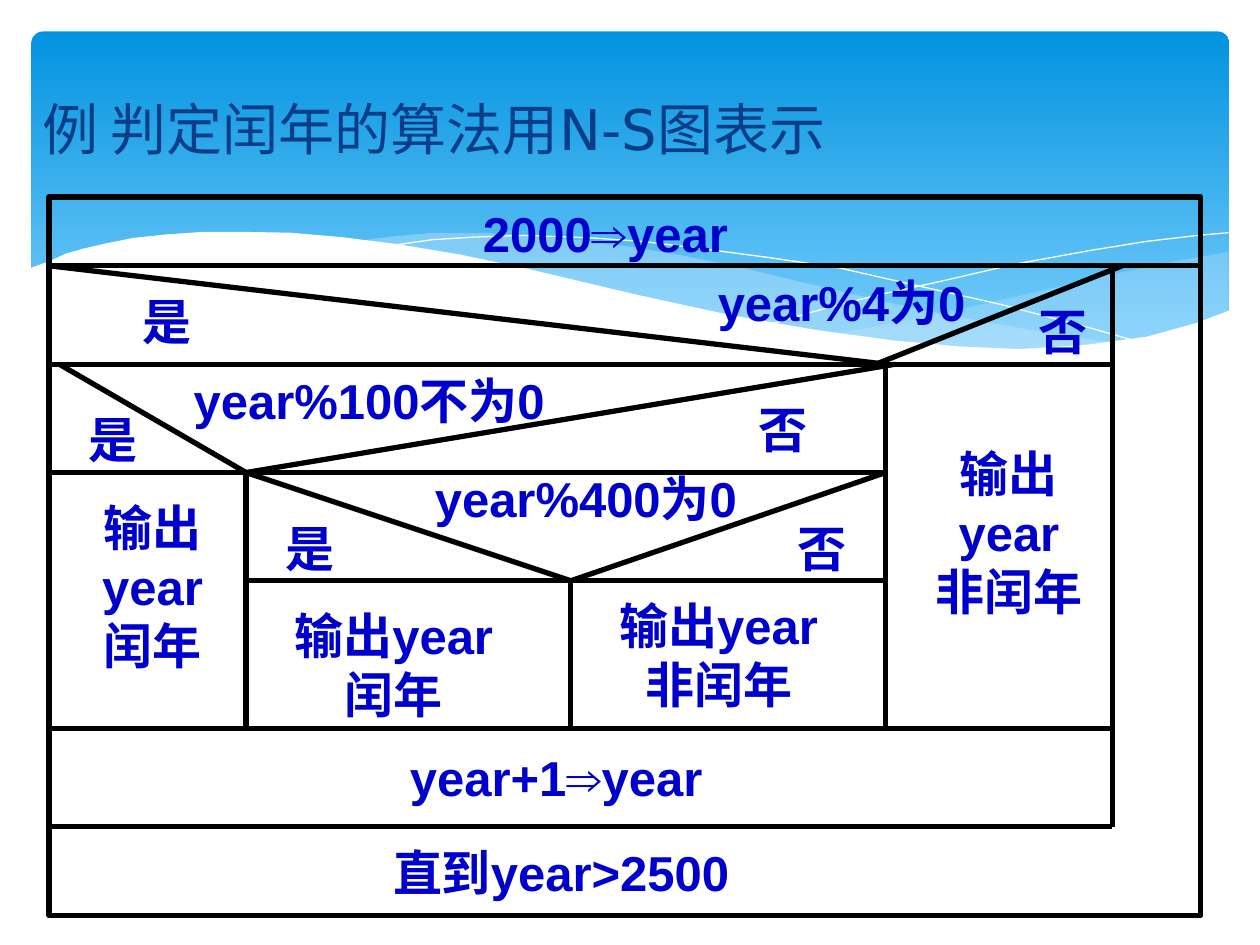
from dataclasses import dataclass
from typing import Optional

import pptx
import pptx.dml.color
import pptx.enum.dml
import pptx.enum.shapes
import pptx.enum.text
import pptx.oxml
import pptx.util
import pptx.oxml.ns

Pt = pptx.util.Pt
Point = tuple[float, float]
BLACK, WHITE, INK, TITLE_INK = "000000", "FFFFFF", "0000CC", "073E87"
LEFT, FIRST, SECOND, THIRD, LOOP, RIGHT = 28.1, 140.6, 326.2, 506.2, 635.6, 686.2
TOP, START, DIVISIBLE, CENTURY, FOURTH, STEP, UNTIL, BOTTOM = (
    112.5, 151.9, 208.1, 270, 331.9, 416.2, 472.5, 523.1)
LABEL_HEIGHT = 41


@dataclass
class Wave:
    points: list[Point]
    fill: Optional[str] = None
    opacity: int = 100


@dataclass
class Label:
    text: str
    left: float
    top: float
    width: float


@dataclass
class Output:
    lines: list[str]
    left: float
    top: float
    width: float
    height: float


WAVES = [
    Wave([(702, 144), (673, 149), (641.5, 155.5), (609, 163), (561, 174), (525, 182),
          (476, 191), (508, 195), (536, 198), (570, 199.5), (601, 199.5), (634, 197),
          (663, 191), (683, 185), (702, 178)], "C6E7FC", 29),
    Wave([(643, 197), (603, 191), (558, 183), (508, 173), (453, 160), (420, 152),
          (390, 146), (361, 141), (334, 137.5), (302, 134.5), (274, 133), (248, 133),
          (225, 135), (206, 137.5), (246, 143), (291, 152), (323, 160), (382, 173),
          (433, 184), (468, 190), (501, 194.5), (530, 198), (557, 200), (581, 201),
          (603, 200), (624, 199)], "C6E7FC", 40),
    Wave([(222.5, 140.5), (247, 137), (271, 135.5), (300, 134.5), (338, 136), (367, 138),
          (400, 142), (438, 147), (479, 153), (523, 163), (572, 174), (625, 188),
          (653, 196)]),
    Wave([(441, 185), (469, 177), (500, 169), (539, 160.5), (580, 151), (624, 143),
          (655, 138), (685, 134.5), (702, 133)]),
    Wave([(703.5, 177), (684, 184.5), (655, 192.5), (621, 197), (583, 199.5), (548, 198),
          (510, 194.5), (466, 188.5), (417, 180), (362, 168), (301, 153.5), (263, 145.5),
          (227, 139.5), (195, 135.5), (166, 133), (139, 132.5), (116, 132.5), (95, 134),
          (76, 136), (61, 139), (48, 142), (37.5, 145), (29, 149), (16.5, 153.5),
          (16.5, 237), (703.5, 237)], WHITE),
]

LINES: list[tuple[Point, Point]] = [
    ((LEFT, START), (RIGHT, START)),
    ((LEFT, DIVISIBLE), (LOOP, DIVISIBLE)),
    ((LEFT, CENTURY), (THIRD, CENTURY)),
    ((FIRST, FOURTH), (THIRD, FOURTH)),
    ((LEFT, STEP), (LOOP, STEP)),
    ((LEFT, UNTIL), (LOOP, UNTIL)),
    ((FIRST, CENTURY), (FIRST, STEP)),
    ((SECOND, FOURTH), (SECOND, STEP)),
    ((THIRD, DIVISIBLE), (THIRD, STEP)),
    ((LOOP, START), (LOOP, UNTIL)),
    ((LEFT, START), (THIRD, DIVISIBLE)),
    ((641.2, START), (500.6, DIVISIBLE)),
    ((33.8, DIVISIBLE), (FIRST, CENTURY)),
    ((511.9, DIVISIBLE), (FIRST, CENTURY)),
    ((FIRST, CENTURY), (SECOND, FOURTH)),
    ((THIRD, CENTURY), (SECOND, FOURTH)),
]

LABELS = [
    Label("2000⇒year", 247.5, TOP, 196.9),
    Label("year%4为0", 388.1, START, 185.6),
    Label("是", 73.1, 163.1, 45),
    Label("否", 585, 168.8, 45),
    Label("year%100不为0", 90, DIVISIBLE, 241.9),
    Label("是", 33.8, 230.6, 61.9),
    Label("否", 416.2, 225, 61.9),
    Label("year%400为0", 213.8, 264.4, 241.9),
    Label("是", 146.2, 292.5, 61.9),
    Label("否", 438.8, 292.5, 61.9),
    Label("year+1⇒year", 208.1, 423.4, 219.4),
    Label("直到year>2500", 191.2, 478.1, 258.8),
]

OUTPUTS = [
    Output(["输出", "year", "闰年"], 16.9, 270, 140.6, 129.4),
    Output(["输出year", "闰年"], 129.4, 331.9, 191.2, 95.6),
    Output(["输出year", "非闰年"], 315, 326.2, 191.2, 95.6),
    Output(["输出", "year", "非闰年"], 495, 241.9, 163.1, 123.8),
]


def color(value: str) -> pptx.dml.color.RGBColor:
    return pptx.dml.color.RGBColor.from_string(value)


def draw_sky(shapes) -> None:
    sky = shapes.add_shape(pptx.enum.shapes.MSO_SHAPE.ROUNDED_RECTANGLE,
                           Pt(18), Pt(18), Pt(684.5), Pt(194.5))
    sky.shadow.inherit = False
    sky.adjustments[0] = 0.034
    sky.line.fill.background()
    sky.fill.gradient()
    sky.fill.gradient_angle = 270
    for stop, position, value in zip(sky.fill.gradient_stops, (0, 1), ("0293E0", "83D3FE")):
        stop.position = position
        stop.color.rgb = color(value)


def draw_wave(shapes, wave: Wave) -> None:
    points = [(round(x * 100), round(y * 100)) for x, y in wave.points]
    builder = shapes.build_freeform(*points[0], scale=Pt(1) / 100)
    builder.add_line_segments(points[1:], close=wave.fill is not None)
    shape = builder.convert_to_shape()
    shape.shadow.inherit = False
    if wave.fill is None:
        shape.fill.background()
        shape.line.color.rgb = color(WHITE)
        shape.line.width = Pt(0)
        return
    shape.line.fill.background()
    shape.fill.solid()
    shape.fill.fore_color.rgb = color(wave.fill)
    if wave.opacity < 100:
        value = shape.element.spPr.find(".//" + pptx.oxml.ns.qn("a:srgbClr"))
        alpha = value.makeelement(pptx.oxml.ns.qn("a:alpha"), {"val": str(wave.opacity * 1000)})
        value.append(alpha)


def draw_line(shapes, start: Point, end: Point) -> None:
    line = shapes.add_connector(pptx.enum.shapes.MSO_CONNECTOR.STRAIGHT,
                                *(Pt(value) for value in start + end))
    line.line.color.rgb = color(BLACK)
    line.line.width = Pt(3)
    properties = line.element.spPr
    properties.append(properties.makeelement(pptx.oxml.ns.qn("a:effectLst"), {}))


def write_lines(frame, lines: list[str]) -> None:
    for index, text in enumerate(lines):
        paragraph = frame.add_paragraph() if index else frame.paragraphs[0]
        paragraph.text = text
        paragraph.alignment = pptx.enum.text.PP_ALIGN.CENTER
        paragraph.font.name = "Arial"
        paragraph.font.size = Pt(28)
        paragraph.font.bold = True
        paragraph.font.color.rgb = color(INK)


def draw_label(shapes, label: Label) -> None:
    box = shapes.add_textbox(Pt(label.left), Pt(label.top), Pt(label.width), Pt(LABEL_HEIGHT))
    box.text_frame.word_wrap = True
    box.text_frame.auto_size = pptx.enum.text.MSO_AUTO_SIZE.SHAPE_TO_FIT_TEXT
    write_lines(box.text_frame, [label.text])


def draw_output(shapes, output: Output) -> None:
    shape = shapes.add_shape(pptx.enum.shapes.MSO_SHAPE.PARALLELOGRAM, Pt(output.left),
                             Pt(output.top), Pt(output.width), Pt(output.height))
    shape.shadow.inherit = False
    shape.fill.background()
    shape.line.fill.background()
    frame = shape.text_frame
    frame.word_wrap = False
    frame.vertical_anchor = pptx.enum.text.MSO_ANCHOR.MIDDLE
    frame.margin_left = frame.margin_right = frame.margin_top = frame.margin_bottom = Pt(0)
    write_lines(frame, output.lines)


def format_title(title) -> None:
    title.left, title.top, title.width, title.height = Pt(16.9), Pt(50.6), Pt(708.8), Pt(61.9)
    title.text_frame.text = "例 判定闰年的算法用N-S图表示"
    title.text_frame.vertical_anchor = pptx.enum.text.MSO_ANCHOR.TOP
    paragraph = title.text_frame.paragraphs[0]
    paragraph.alignment = pptx.enum.text.PP_ALIGN.LEFT
    paragraph.space_before = Pt(0)
    paragraph.font.name = "DejaVu Sans"
    paragraph.font.size = Pt(32)
    paragraph.font.color.rgb = color(TITLE_INK)
    title.element.getparent().append(title.element)


def draw_frame(shapes) -> None:
    frame = shapes.add_shape(pptx.enum.shapes.MSO_SHAPE.FLOWCHART_PROCESS,
                             Pt(LEFT), Pt(TOP), Pt(RIGHT - LEFT), Pt(BOTTOM - TOP))
    frame.shadow.inherit = False
    frame.fill.background()
    frame.line.color.rgb = color(BLACK)
    frame.line.width = Pt(3)


def main() -> None:
    presentation = pptx.Presentation()
    presentation.slide_width, presentation.slide_height = Pt(720), Pt(540)
    shapes = presentation.slides.add_slide(presentation.slide_layouts[5]).shapes
    draw_sky(shapes)
    for wave in WAVES:
        draw_wave(shapes, wave)
    format_title(shapes.title)
    draw_frame(shapes)
    for start, end in LINES:
        draw_line(shapes, start, end)
    for label in LABELS:
        draw_label(shapes, label)
    for output in OUTPUTS:
        draw_output(shapes, output)
    presentation.save("out.pptx")


if __name__ == "__main__":
    main()
